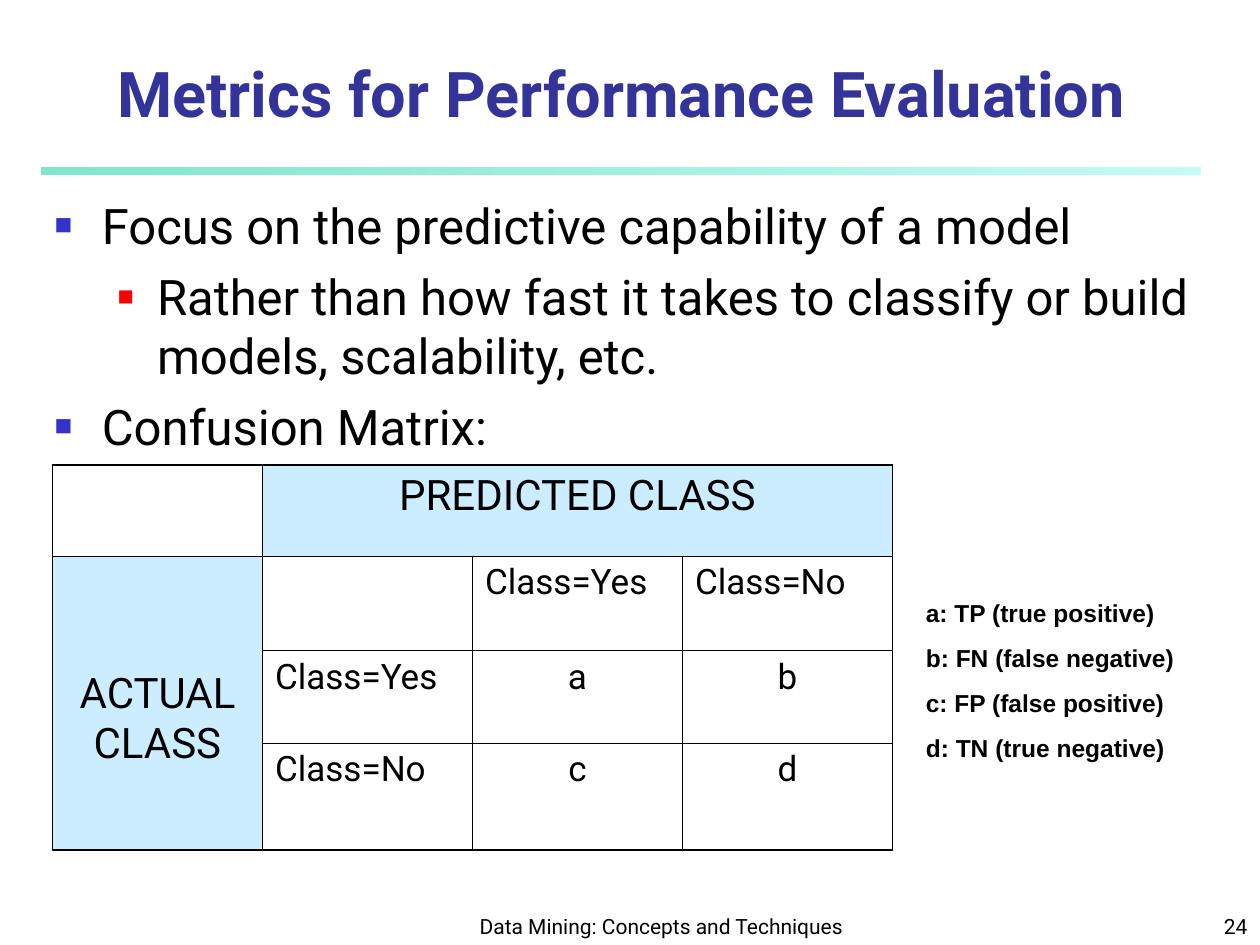
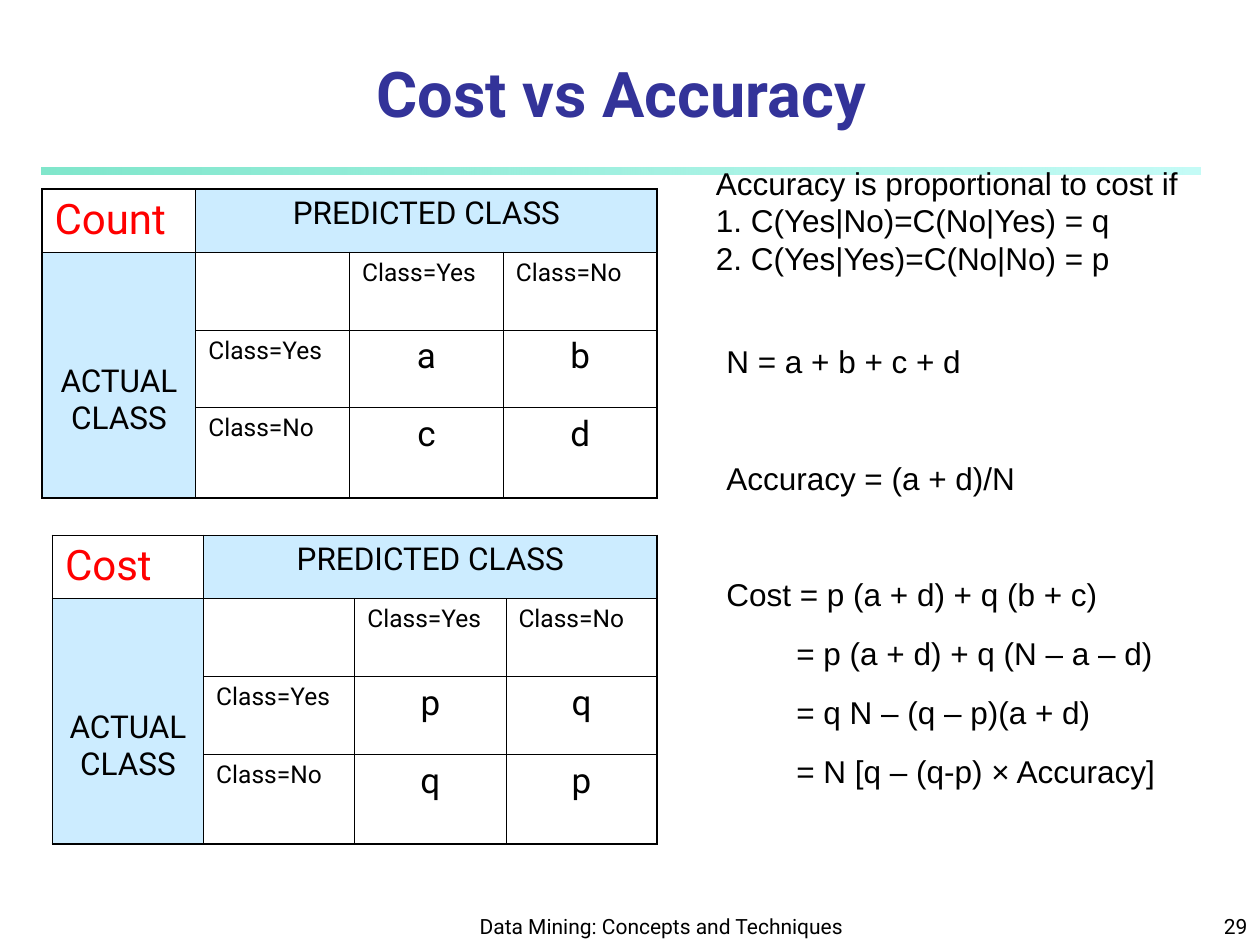
from dataclasses import dataclass

import lxml.etree
import pptx
import pptx.chart.data
import pptx.dml.color
import pptx.enum.shapes
import pptx.enum.text
import pptx.oxml.ns
import pptx.util

Pt = pptx.util.Pt
ALIGN = pptx.enum.text.PP_ALIGN
ANCHOR = pptx.enum.text.MSO_ANCHOR
qn = pptx.oxml.ns.qn


@dataclass(frozen=True)
class Theme:
    sans: str = "Roboto"
    formula: str = "Arial"
    ink: str = "000000"
    paper: str = "FFFFFF"
    title: str = "333399"
    header: str = "CCECFF"
    accent: str = "FF0000"
    bullets: tuple = ("3333CC", "FF0000")
    band: tuple = (("00CE98", 50), ("8FF9EF", 52))
    title_size: float = 36
    body_size: float = 28
    corner_size: float = 24
    formula_size: float = 18
    legend_size: float = 14
    footer_size: float = 12
    inner_line: float = 0.45
    outer_line: float = 1.08


@dataclass(frozen=True)
class MatrixStyle:
    head: float
    label: float
    value: float
    row_heights: tuple
    actual_top: float


THEME = Theme()
LARGE = MatrixStyle(24, 20, 20, (52, 54, 53, 61), 65)
SMALL = MatrixStyle(18, 14, 20, (36, 44.5, 44.5, 51.5), 63.5)


def rgb(code):
    return pptx.dml.color.RGBColor.from_string(code)


def add_xml(parent, tag, **attributes):
    return lxml.etree.SubElement(parent, qn(tag), attributes)


def style_para(para, size, color=THEME.ink, font=THEME.sans, bold=False, align=ALIGN.LEFT):
    para.alignment = align
    para.font.name = font
    para.font.size = Pt(size)
    para.font.bold = bold
    para.font.color.rgb = rgb(color)


def place(shape, box):
    shape.left, shape.top, shape.width, shape.height = (Pt(side) for side in box)


def add_paras(frame, texts):
    """Yield one paragraph per text, starting with the frame's own."""
    for index, text in enumerate(texts):
        para = frame.add_paragraph() if index else frame.paragraphs[0]
        para.text = text
        yield para


def add_text(page, box, texts, anchor=ANCHOR.TOP):
    """Add a wrapping text box and return its paragraphs."""
    frame = page.shapes.add_textbox(*(Pt(side) for side in box)).text_frame
    frame.word_wrap = True
    frame.vertical_anchor = anchor
    return list(add_paras(frame, texts))


def add_title(page, box, text):
    place(page.shapes.title, box)
    frame = page.shapes.title.text_frame
    frame.auto_size = pptx.enum.text.MSO_AUTO_SIZE.NONE
    frame.vertical_anchor = ANCHOR.BOTTOM
    frame.text = text
    style_para(frame.paragraphs[0], THEME.title_size, THEME.title, bold=True, align=ALIGN.CENTER)


def add_band(page, box):
    band = page.shapes.add_shape(
        pptx.enum.shapes.MSO_SHAPE.RECTANGLE, *(Pt(side) for side in box))
    band.shadow.inherit = False
    band.line.fill.background()
    band.fill.gradient()
    band.fill.gradient_angle = 0
    for stop, (color, opacity) in zip(band.fill.gradient_stops, THEME.band):
        stop.color.rgb = rgb(color)
    codes = band._element.spPr.iter(qn("a:srgbClr"))
    for code, (color, opacity) in zip(codes, THEME.band):
        add_xml(code, "a:alpha", val=str(opacity * 1000))


def add_footer(page, box, number):
    left, top, width, height = box
    caption = add_text(page, (left + 264, top, 228, height),
                       ["Data Mining: Concepts and Techniques"], ANCHOR.BOTTOM)
    style_para(caption[0], THEME.footer_size, align=ALIGN.CENTER)
    counter = add_text(page, (left + width - 150, top, 150, height), [str(number)], ANCHOR.BOTTOM)
    style_para(counter[0], THEME.footer_size, align=ALIGN.RIGHT)


def add_page(deck, layout, title, number):
    page = deck.slides.add_slide(deck.slide_layouts.get_by_name(layout))
    add_title(page, (24, 30, 662, 48), title)
    add_band(page, (24, 95.5, 662, 4))
    add_footer(page, (0, 510, 720, 30), number)
    return page


def add_bullets(page, box, items):
    """Fill the body placeholder with (level, text) items."""
    body = page.placeholders[1]
    place(body, box)
    frame = body.text_frame
    frame.auto_size = pptx.enum.text.MSO_AUTO_SIZE.NONE
    paras = add_paras(frame, [text for level, text in items])
    for index, (para, (level, text)) in enumerate(zip(paras, items)):
        para.level = level
        margin, hang, scale = ((27, 27, 60), (58.5, 22.5, 55))[level]
        props = para._p.get_or_add_pPr()
        props.set("marL", str(Pt(margin)))
        props.set("indent", str(-Pt(hang)))
        add_xml(add_xml(props, "a:buClr"), "a:srgbClr", val=THEME.bullets[level])
        add_xml(props, "a:buSzPct", val=str(scale * 1000))
        add_xml(props, "a:buFont", typeface=THEME.formula)
        add_xml(props, "a:buChar", char="■")
        para.space_before = Pt(7 if index else 0)
        style_para(para, THEME.body_size)


def set_borders(cell, outer_sides):
    """Draw the four cell edges, heavier on the table's outer sides."""
    props = cell._tc.get_or_add_tcPr()
    for index, side in enumerate("LRTB"):
        width = THEME.outer_line if side in outer_sides else THEME.inner_line
        line = lxml.etree.Element(qn(f"a:ln{side}"), w=str(Pt(width)))
        add_xml(add_xml(line, "a:solidFill"), "a:srgbClr", val=THEME.ink)
        props.insert(index, line)


def fill_cell(cell, text, size, color=THEME.ink, align=ALIGN.LEFT):
    para = cell.text_frame.paragraphs[0]
    para.text = text
    style_para(para, size, color, align=align)


def add_matrix(page, box, style, values, corner=""):
    """Add a two-class confusion matrix; values holds its rows of counts."""
    left, top, width = box
    table = page.shapes.add_table(
        4, 4, Pt(left), Pt(top), Pt(width), Pt(sum(style.row_heights))).table
    table.first_row = table.horz_banding = False
    for column in table.columns:
        column.width = Pt(width / 4)
    for row, height in zip(table.rows, style.row_heights):
        row.height = Pt(height)

    predicted, actual = table.cell(0, 1), table.cell(1, 0)
    predicted.merge(table.cell(0, 3))
    actual.merge(table.cell(3, 0))
    for r in range(4):
        for c in range(4):
            cell = table.cell(r, c)
            cell.fill.solid()
            cell.fill.fore_color.rgb = rgb(THEME.header if (r == 0) != (c == 0) else THEME.paper)
            edges = {"L": c == 0, "R": c + cell.span_width == 4,
                     "T": r == 0, "B": r + cell.span_height == 4}
            set_borders(cell, [side for side, outer in edges.items() if outer])

    fill_cell(predicted, "PREDICTED CLASS", style.head, align=ALIGN.CENTER)
    fill_cell(actual, "ACTUAL\nCLASS", style.head, align=ALIGN.CENTER)
    actual.margin_top = Pt(style.actual_top)
    if corner:
        fill_cell(table.cell(0, 0), corner, THEME.corner_size, THEME.accent)
    for index, label in enumerate(("Class=Yes", "Class=No")):
        fill_cell(table.cell(1, index + 2), label, style.label)
        fill_cell(table.cell(index + 2, 1), label, style.label)
        for c, value in enumerate(values[index], 2):
            fill_cell(table.cell(index + 2, c), value, style.value, align=ALIGN.CENTER)


def add_legend(page, box, entries):
    for index, para in enumerate(add_text(page, box, entries)):
        para.space_before = Pt(9 if index else 0)
        style_para(para, THEME.legend_size, font=THEME.formula, bold=True)


def add_formulas(page, box, formulas):
    """Stack formulas; those that go on from the one above are indented."""
    for index, para in enumerate(add_text(page, box, formulas)):
        continued = para.text.startswith("=")
        if continued:
            para._p.get_or_add_pPr().set("marL", str(Pt(40)))
        gap = 12 if continued else 45
        para.space_before = Pt(gap if index else 0)
        style_para(para, THEME.formula_size, font=THEME.formula)


def add_condition(page, box, text):
    style_para(add_text(page, box, [text])[0], THEME.formula_size, font=THEME.formula)


def build_metrics(deck):
    page = add_page(deck, "Title and Content", "Metrics for Performance Evaluation", 24)
    add_bullets(page, (24, 108, 666, 402), [
        (0, "Focus on the predictive capability of a model"),
        (1, "Rather than how fast it takes to classify or build models, scalability, etc."),
        (0, "Confusion Matrix:"),
    ])
    add_matrix(page, (30, 265.7, 480), LARGE, ("ab", "cd"))
    add_legend(page, (522, 338, 174, 101), [
        "a: TP (true positive)",
        "b: FN (false negative)",
        "c: FP (false positive)",
        "d: TN (true negative)",
    ])


def build_cost(deck):
    page = add_page(deck, "Title Only", "Cost vs Accuracy", 29)
    add_matrix(page, (24, 108, 351.5), SMALL, ("ab", "cd"), "Count")
    add_matrix(page, (30, 306, 345.5), SMALL, ("pq", "qp"), "Cost")
    add_formulas(page, (408, 192, 282, 292), [
        "N = a + b + c + d",
        "Accuracy = (a + d)/N",
        "Cost = p (a + d) + q (b + c)",
        "= p (a + d) + q (N – a – d)",
        "= q N – (q – p)(a + d)",
        "= N [q – (q-p) × Accuracy]",
    ])
    add_condition(page, (402, 90, 294, 72),
                  "Accuracy is proportional to cost if\n"
                  "1. C(Yes|No)=C(No|Yes) = q\n"
                  "2. C(Yes|Yes)=C(No|No) = p")


def main():
    deck = pptx.Presentation()
    deck.slide_width, deck.slide_height = Pt(720), Pt(540)
    build_metrics(deck)
    build_cost(deck)
    deck.save("out.pptx")


if __name__ == "__main__":
    main()
